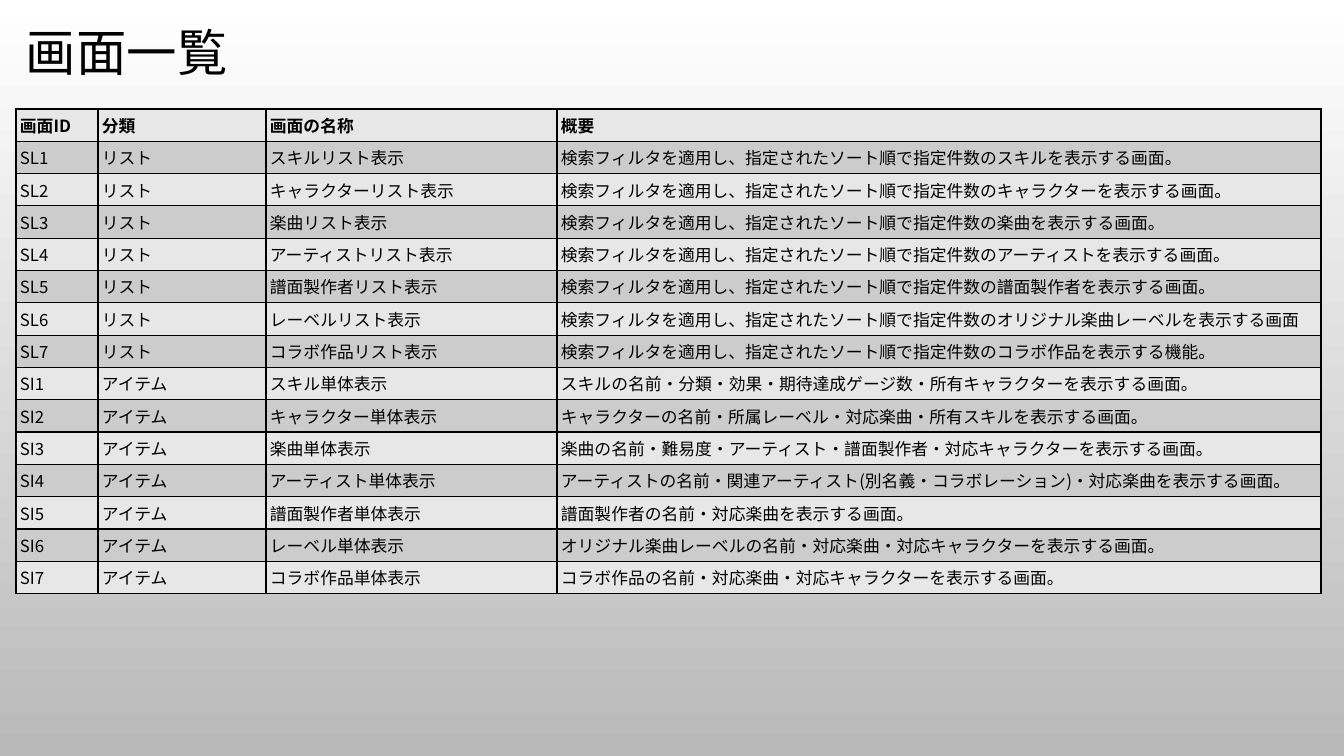
from lxml.etree import SubElement as Sub
from pptx import Presentation
from pptx.dml.color import RGBColor as Rgb
from pptx.enum.text import MSO_ANCHOR as Anchor
from pptx.oxml.ns import qn
from pptx.util import Pt

PX = 9071  # EMU in one pixel, at 100.8 pixels to the inch
WIDTH, HEIGHT = 1344, 756
FONT = "Noto Sans CJK JP"
BLACK = Rgb(0, 0, 0)
WHITE = Rgb(255, 255, 255)
GREY = Rgb(0xB9, 0xB9, 0xB9)
BANDS = Rgb(0xE7, 0xE7, 0xE7), Rgb(0xCC, 0xCC, 0xCC)

COLS = 82, 168, 291, 764
HEAD = "画面ID", "分類", "画面の名称", "概要"
# name, words for the list screen, its ending, what the item screen shows
THEMES = [
    ("スキル", "スキル", "画面。",
     "スキルの名前・分類・効果・期待達成ゲージ数・所有キャラクター"),
    ("キャラクター", "キャラクター", "画面。",
     "キャラクターの名前・所属レーベル・対応楽曲・所有スキル"),
    ("楽曲", "楽曲", "画面。",
     "楽曲の名前・難易度・アーティスト・譜面製作者・対応キャラクター"),
    ("アーティスト", "アーティスト", "画面。",
     "アーティストの名前・関連アーティスト(別名義・コラボレーション)・対応楽曲"),
    ("譜面製作者", "譜面製作者", "画面。", "譜面製作者の名前・対応楽曲"),
    ("レーベル", "オリジナル楽曲レーベル", "画面",
     "オリジナル楽曲レーベルの名前・対応楽曲・対応キャラクター"),
    ("コラボ作品", "コラボ作品", "機能。",
     "コラボ作品の名前・対応楽曲・対応キャラクター"),
]


def write(frame, text, size=12, bold=False, lead=None):
    """Put one formatted line of text in a frame."""
    line = frame.paragraphs[0]
    line.line_spacing = lead
    run = line.add_run()
    run.text = text
    font = run.font
    font.name, font.size, font.bold = FONT, Pt(size), bold
    font.color.rgb = BLACK
    Sub(font._element, qn("a:ea"), typeface=FONT)


def edge(cell):
    """Draw a thin black line on each side of a cell."""
    props = cell._tc.get_or_add_tcPr()
    for side in "LRTB":
        line = Sub(props, qn(f"a:ln{side}"), w=str(Pt(1)))
        fill = Sub(line, qn("a:solidFill"))
        Sub(fill, qn("a:srgbClr"), val=str(BLACK))


def rows():
    """List the heading, the list screens and the item screens."""
    lists = [(f"SL{n}", "リスト", f"{name}リスト表示",
              "検索フィルタを適用し、指定されたソート順で"
              f"指定件数の{what}を表示する{end}")
             for n, (name, what, end, _) in enumerate(THEMES, 1)]
    items = [(f"SI{n}", "アイテム", f"{name}単体表示",
              f"{shown}を表示する画面。")
             for n, (name, _, _, shown) in enumerate(THEMES, 1)]
    return [HEAD, *lists, *items]


def paint(slide):
    """Fill the background from white down to grey."""
    fill = slide.background.fill
    fill.gradient()
    fill.gradient_angle = 270
    for stop, tone, at in zip(fill.gradient_stops, (WHITE, GREY), (0, 1)):
        stop.color.rgb, stop.position = tone, at


def title(slide, box, text):
    """Place the slide title in the box."""
    frame = slide.shapes.add_textbox(*(n * PX for n in box)).text_frame
    frame.word_wrap = True
    frame.vertical_anchor = Anchor.MIDDLE
    write(frame, text, size=36, lead=0.9)


def grid(slide, box, data):
    """Place the table of screens in the box, with rows of equal height."""
    left, top, wide, high = (n * PX for n in box)
    table = slide.shapes.add_table(
        len(data), len(COLS), left, top, wide, high).table
    table.horz_banding = False
    for col, size in zip(table.columns, COLS):
        col.width = size * PX
    for r, line in enumerate(data):
        for c, text in enumerate(line):
            cell = table.cell(r, c)
            cell.margin_left = cell.margin_right = 4 * PX
            cell.margin_top = cell.margin_bottom = 4 * PX
            edge(cell)
            cell.fill.solid()
            cell.fill.fore_color.rgb = BANDS[r % 2]
            write(cell.text_frame, text, bold=r == 0)


def main():
    """Build the slide and save it."""
    deck = Presentation()
    deck.slide_width, deck.slide_height = WIDTH * PX, HEIGHT * PX
    slide = deck.slides.add_slide(deck.slide_layouts[6])
    paint(slide)
    title(slide, (16, 17, 1315, 76), "画面一覧")
    grid(slide, (16, 109, sum(COLS), 485), rows())
    deck.save("out.pptx")


main()
